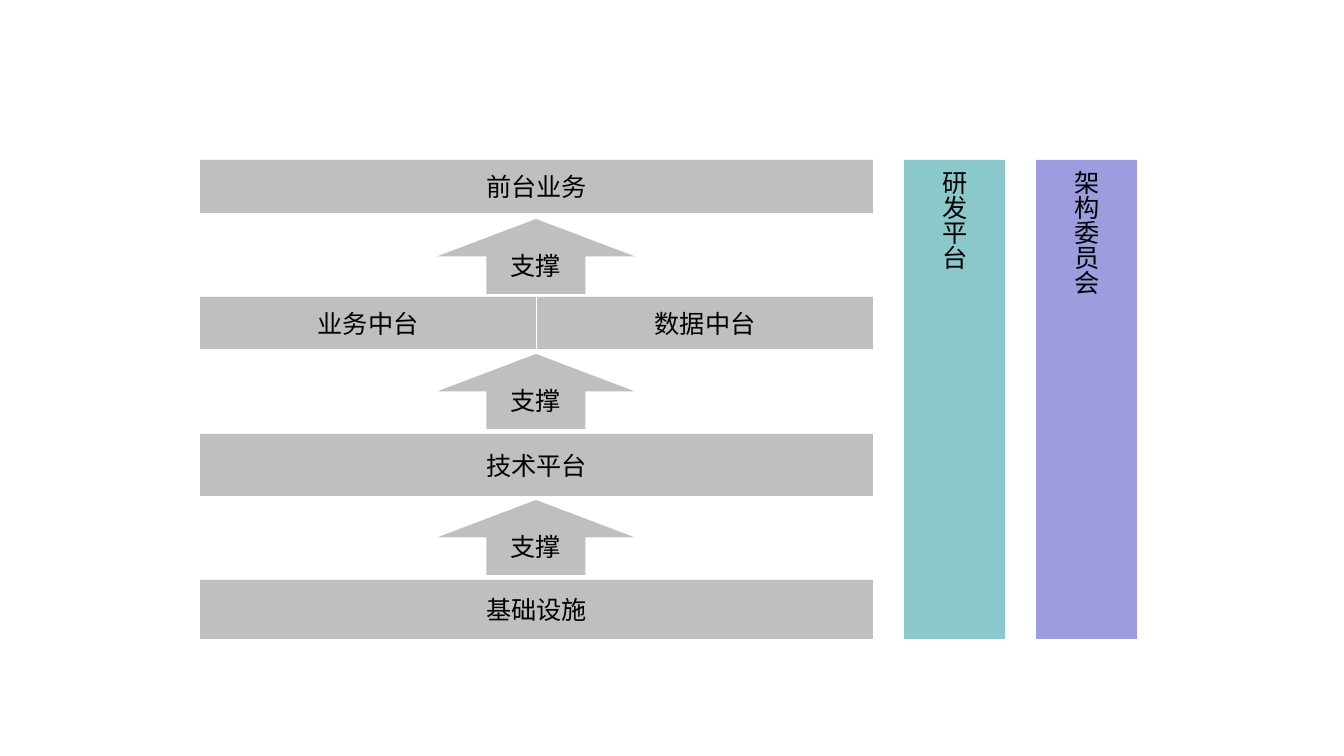
from pptx import Presentation
from pptx.dml.color import RGBColor
from pptx.enum.shapes import MSO_SHAPE
from pptx.enum.text import MSO_ANCHOR, PP_ALIGN
from pptx.util import Pt

RECTANGLE = MSO_SHAPE.RECTANGLE
UP_ARROW = MSO_SHAPE.UP_ARROW
MIDDLE = MSO_ANCHOR.MIDDLE
CENTER = PP_ALIGN.CENTER

EMU_PER_PX = 914400 / 100.8
COLORS = {
    "layer": "BFBFBF",
    "development": "8AC8CB",
    "committee": "9C9CDF",
    "text": "000000",
}


def px(length):
    return round(length * EMU_PER_PX)


def add_block(kind, left, top, width, height, color, label):
    shape = slide.shapes.add_shape(kind, px(left), px(top), px(width), px(height))
    shape.shadow.inherit = False
    shape.fill.solid()
    shape.fill.fore_color.rgb = RGBColor.from_string(COLORS[color])
    shape.line.fill.background()
    shape.text_frame.word_wrap = True
    shape.text_frame.vertical_anchor = MIDDLE
    paragraph = shape.text_frame.paragraphs[0]
    paragraph.alignment = CENTER
    run = paragraph.add_run()
    run.text = label
    run.font.name = "Arial"
    run.font.size = Pt(18)
    run.font.color.rgb = RGBColor.from_string(COLORS["text"])
    return shape


presentation = Presentation()
presentation.slide_width = px(1344)
presentation.slide_height = px(756)
slide = presentation.slides.add_slide(presentation.slide_layouts[6])

STACK_LEFT, STACK_TOP, STACK_WIDTH, STACK_HEIGHT = 200, 160, 673, 479
CELL_GAP = 1
LAYERS = [
    (160, 53, ["前台业务"]),
    (297, 52, ["业务中台", "数据中台"]),
    (434, 62, ["技术平台"]),
    (580, 59, ["基础设施"]),
]
for top, height, labels in LAYERS:
    width = (STACK_WIDTH - CELL_GAP * (len(labels) - 1)) // len(labels)
    for column, label in enumerate(labels):
        left = STACK_LEFT + column * (width + CELL_GAP)
        add_block(RECTANGLE, left, top, width, height, "layer", label)

ARROW_WIDTH, ARROW_HEIGHT = 198, 75
arrow_left = STACK_LEFT + (STACK_WIDTH - ARROW_WIDTH) // 2
for top in (219, 354, 500):
    add_block(UP_ARROW, arrow_left, top, ARROW_WIDTH, ARROW_HEIGHT, "layer", "支撑")

PILLARS = [(904, "development", "研发平台"), (1036, "committee", "架构委员会")]
for left, color, label in PILLARS:
    pillar = add_block(RECTANGLE, left, STACK_TOP, 101, STACK_HEIGHT, color, label)
    pillar.text_frame._txBody.bodyPr.set("vert", "eaVert")
    pillar.text_frame.paragraphs[0].alignment = CENTER

presentation.save("out.pptx")
